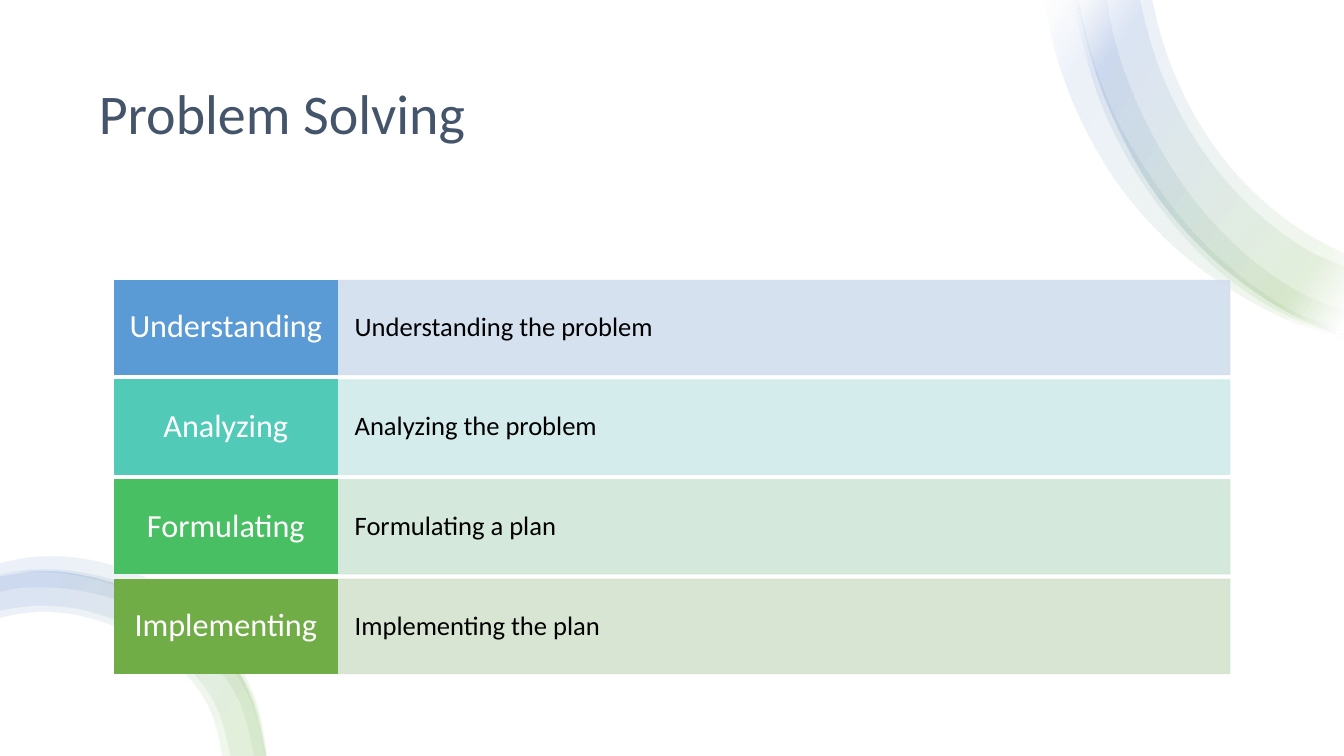
from lxml.etree import SubElement
from pptx import Presentation
from pptx.dml.color import RGBColor
from pptx.enum.shapes import MSO_SHAPE
from pptx.enum.text import MSO_ANCHOR, PP_ALIGN
from pptx.oxml import parse_xml
from pptx.oxml.ns import nsdecls, qn
from pptx.util import Cm, Pt

WHITE = RGBColor(0xFF, 0xFF, 0xFF)
BLACK = RGBColor(0, 0, 0)
SLATE = RGBColor(0x44, 0x54, 0x6A)
RIBBON_GREEN = RGBColor(0x70, 0xAD, 0x47)
RIBBON_BLUE = RGBColor(0x44, 0x72, 0xC4)
LOWER_STOPS = [(16, RIBBON_GREEN), (85, RIBBON_BLUE)]
UPPER_STOPS = [(2, WHITE), *LOWER_STOPS, (100, WHITE)]
RIBBON_ANGLE = 215
RIBBON_UNIT = Cm(2.54) / 100

STEPS = [
    ("Understanding", "Understanding the problem",
     RGBColor(0x5B, 0x9B, 0xD5), RGBColor(0xD2, 0xDE, 0xEF)),
    ("Analyzing", "Analyzing the problem",
     RGBColor(0x52, 0xCA, 0xB8), RGBColor(0xD0, 0xEC, 0xEA)),
    ("Formulating", "Formulating a plan",
     RGBColor(0x49, 0xBF, 0x64), RGBColor(0xD0, 0xE7, 0xD8)),
    ("Implementing", "Implementing the plan",
     RGBColor(0x70, 0xAD, 0x47), RGBColor(0xD5, 0xE3, 0xCF)),
]
ROW_TOP, ROW_HEIGHT, ROW_PITCH = 7.07, 2.37, 2.51
LABEL_LEFT, LABEL_WIDTH = 2.88, 5.63
DETAIL_LEFT, DETAIL_WIDTH = 8.51, 22.48

upper_edge = [(1068, 0), (1100, 107), (1152, 200), (1224, 274), (1309, 324), (1333, 332)]
lower_edge = [(0, 572), (40, 567), (117, 580), (185, 616), (237, 669), (263, 750)]
UPPER_RIBBONS = [
    ([(1037, 0), (1041, 26), (1078, 131), (1116, 192), (1165, 245), (1221, 287),
      (1282, 319), (1333, 335)],
     [(1333, 328), (1286, 310), (1230, 273), (1181, 227), (1140, 173), (1106, 115),
      (1082, 52), (1070, 0)]),
    (upper_edge,
     [(1333, 251), (1307, 238), (1261, 206), (1219, 164), (1158, 55), (1143, 0)]),
    ([(1065, 0), (1099, 119), (1132, 179), (1173, 233), (1223, 280), (1279, 314), (1333, 333)],
     [(1333, 308), (1290, 290), (1239, 255), (1195, 211), (1129, 104), (1107, 44), (1098, 0)]),
    (upper_edge,
     [(1333, 264), (1301, 250), (1254, 217), (1210, 172), (1147, 59), (1131, 0)]),
]
LOWER_RIBBONS = [
    (lower_edge,
     [(220, 750), (206, 700), (166, 652), (107, 619), (40, 607), (0, 613)]),
    (lower_edge,
     [(228, 750), (212, 697), (170, 647), (109, 613), (40, 601), (0, 606)]),
    ([(0, 571), (31, 566), (69, 567), (142, 587), (203, 627), (247, 685), (263, 750)],
     [(251, 750), (234, 691), (192, 639), (134, 603), (67, 585), (15, 585), (0, 588)]),
    ([(0, 559), (31, 553), (71, 553), (148, 575), (210, 623), (250, 687), (264, 750)],
     [(262, 750), (245, 689), (200, 631), (139, 591), (69, 570), (14, 569), (0, 572)]),
]


def bezier_points(edge):
    knots = [complex(*knot) * RIBBON_UNIT for knot in edge]
    chords = [end - start for start, end in zip(knots, knots[1:])]
    units = [chord / abs(chord) for chord in chords]
    tangents = [(u * abs(d) + v * abs(c)) / (abs(c) + abs(d))
                for c, d, u, v in zip(chords, chords[1:], units, units[1:])]
    tangents = [1.5 * units[0] - 0.5 * tangents[0], *tangents,
                1.5 * units[-1] - 0.5 * tangents[-1]]
    points = [knots[0]]
    for start, end, chord, leave, arrive in zip(
            knots, knots[1:], chords, tangents, tangents[1:]):
        reach = abs(chord) / 3
        points += [start + leave * reach, end - arrive * reach, end]
    return [(round(point.real), round(point.imag)) for point in points]


def write_text(frame, text, size, color, align, side_inset, end_inset):
    frame.word_wrap = True
    frame.vertical_anchor = MSO_ANCHOR.MIDDLE
    frame.margin_left = frame.margin_right = Cm(side_inset)
    frame.margin_top = frame.margin_bottom = Cm(end_inset)
    paragraph = frame.paragraphs[0]
    paragraph.text = text
    paragraph.alignment = align
    paragraph.line_spacing = 0.9
    paragraph.font.name = "Calibri"
    paragraph.font.size = Pt(size)
    paragraph.font.color.rgb = color


presentation = Presentation()
presentation.slide_width = Cm(33.87)
presentation.slide_height = Cm(19.05)
slide = presentation.slides.add_slide(presentation.slide_layouts[6])

backdrop = slide.shapes.add_shape(
    MSO_SHAPE.RECTANGLE, 0, 0, presentation.slide_width, presentation.slide_height)
backdrop.shadow.inherit = False
backdrop.fill.solid()
backdrop.fill.fore_color.rgb = WHITE
backdrop.line.fill.background()

for ribbons, color_stops in [(UPPER_RIBBONS, UPPER_STOPS), (LOWER_RIBBONS, LOWER_STOPS)]:
    stops = "".join(
        f'<a:gs pos="{position * 1000}"><a:srgbClr val="{color}">'
        f'<a:alpha val="10000"/></a:srgbClr></a:gs>'
        for position, color in color_stops)
    gradient = (f'<a:gradFill {nsdecls("a")} rotWithShape="1"><a:gsLst>{stops}</a:gsLst>'
                f'<a:lin ang="{RIBBON_ANGLE * 60000}" scaled="0"/></a:gradFill>')
    for outer, inner in ribbons:
        outer_points, inner_points = bezier_points(outer), bezier_points(inner)
        builder = slide.shapes.build_freeform(*outer_points[0])
        builder.add_line_segments(outer_points[1:] + inner_points, close=True)
        ribbon = builder.convert_to_shape()
        ribbon.shadow.inherit = False
        ribbon.line.fill.background()
        ribbon.fill.background()
        properties = ribbon._element.spPr
        properties.replace(properties.find(qn("a:noFill")), parse_xml(gradient))
        segments = list(properties.iter(qn("a:lnTo")))
        bridge = len(outer_points) - 1
        for curve in (segments[:bridge], segments[bridge + 1:]):
            for first, second, third in zip(curve[::3], curve[1::3], curve[2::3]):
                bezier = parse_xml(f'<a:cubicBezTo {nsdecls("a")}/>')
                first.addprevious(bezier)
                for segment in (first, second, third):
                    bezier.append(segment[0])
                    segment.getparent().remove(segment)

title = slide.shapes.add_textbox(Cm(2.24), Cm(1.29), Cm(29.39), Cm(3.3))
write_text(title.text_frame, "Problem Solving", 40, SLATE, PP_ALIGN.LEFT, 0.25, 0.13)

for row, (step_name, detail, strong, pale) in enumerate(STEPS):
    top = ROW_TOP + row * ROW_PITCH
    for left, width, color, alpha in [(DETAIL_LEFT, DETAIL_WIDTH, pale, 90),
                                      (LABEL_LEFT, LABEL_WIDTH, strong, 100)]:
        cell = slide.shapes.add_shape(
            MSO_SHAPE.RECTANGLE, Cm(left), Cm(top), Cm(width), Cm(ROW_HEIGHT))
        cell.shadow.inherit = False
        cell.fill.solid()
        cell.fill.fore_color.rgb = color
        cell.line.color.rgb = color
        cell.line.width = Pt(1)
        if alpha < 100:
            for tint in cell._element.spPr.iter(qn("a:srgbClr")):
                SubElement(tint, qn("a:alpha")).set("val", str(alpha * 1000))
            write_text(cell.text_frame, detail, 19, BLACK, PP_ALIGN.LEFT, 0.43, 0.61)
        else:
            write_text(cell.text_frame, step_name, 23, WHITE, PP_ALIGN.CENTER, 0.3, 0.23)

presentation.save("out.pptx")
